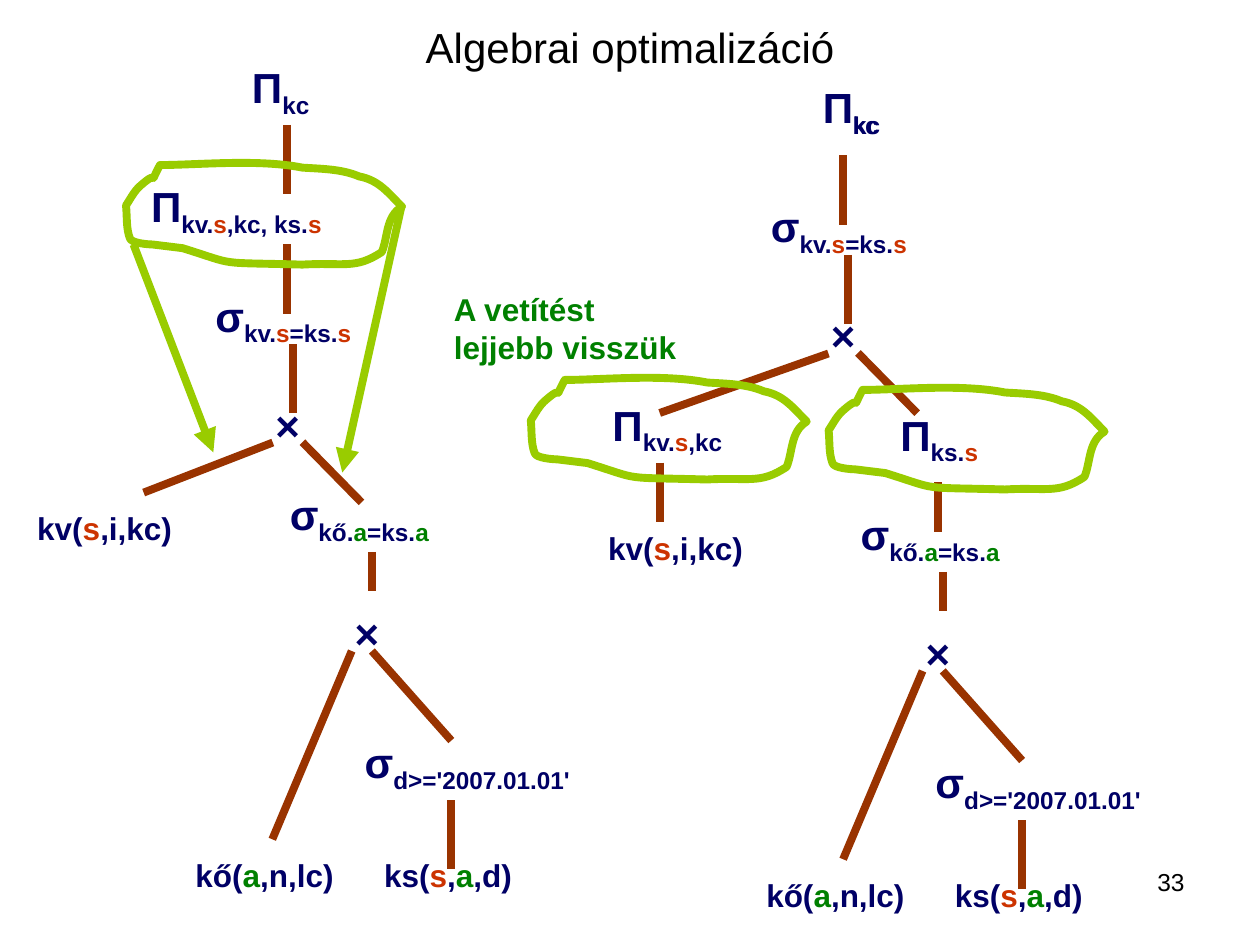
from lxml.etree import SubElement
from pptx import Presentation
from pptx.dml.color import RGBColor
from pptx.enum.shapes import MSO_CONNECTOR
from pptx.enum.text import MSO_ANCHOR, MSO_AUTO_SIZE, PP_ALIGN
from pptx.oxml.ns import qn
from pptx.util import Pt

COLORS = {
    "text": "000000", "navy": "000066", "red": "CC3300",
    "green": "008000", "brown": "993300", "lime": "99CC00",
}
ATTRIBUTE_COLORS = {"s": "red", "a": "green"}

JOIN_OFFSETS = [(0, 0), (317.5, -51)]
JOIN_LINES = [
    (164.2, 139.7, 164.2, 179.3),
    (167.2, 196.6, 167.2, 236.2),
    (172.8, 252.7, 206.6, 287.1),
]
JOIN_TERMS = [
    ("σ", "kv.|s|=ks.|s", 116, 162.3, 221),
    ("×", "", 150.2, 224.6, 68.4),
]

SELECTION_OFFSETS = [(0, 0), (326.2, 11.4)]
SELECTION_LINES = [
    (201, 372, 155.6, 479.6),
    (212.5, 315.4, 212.5, 337.7),
    (212.5, 372, 257.9, 423.2),
    (257.9, 457.2, 257.9, 496.8),
]
SELECTION_TERMS = [
    ("σ", "kő.|a|=ks.|a", 158.5, 275.8, 221),
    ("×", "", 195.6, 343.4, 73.4),
    ("σ", "d>='2007.01.01'", 201.3, 417.6, 158.4),
]
RELATIONS = [
    ("kv(|s|,i,kc)", 14.2, 287.3, 108),
    ("kő(|a|,n,lc)", 104.6, 485.6, 96.5),
    ("ks(|s|,|a|,d)", 212.4, 485.6, 96.5),
]

PROJECTION_TERMS = [
    ("Π", "kv.|s|,kc, ks.|s", 79.2, 99.8, 181.4),
    ("Π", "kv.|s|,kc", 342.9, 224.6, 130.3),
    ("Π", "ks.|s", 507.4, 230.4, 181.4),
]
PROJECTION_LINES = [
    (164.2, 71.3, 164.2, 110.9),
    (155.9, 252.9, 82.1, 281.5),
    (473.4, 202, 377, 236),
    (377, 264.4, 377, 298.1),
    (535.8, 275.6, 535.8, 303.8),
]
ARROWS = [(76.3, 139.7, 121.9, 258.5), (229.7, 116.6, 195.6, 270)]

LOOP_OFFSETS = [(0, 0), (401.5, 128.5), (231.3, 122.8)]
LOOP_START = (229.7, 118.1)
LOOP_CURVES = [
    [(221.8, 110.2), (216.7, 103), (205.2, 100.8)],
    [(195.1, 96.5), (183.6, 96.5), (172.8, 95.8)],
    [(147.6, 90.7), (112.3, 94.3), (91.4, 94.3)],
    [(83.5, 109.4), (92.9, 95), (80.6, 105.8)],
    [(77, 108.7), (74.9, 113), (72, 117.4)],
    [(72.7, 123.8), (72, 130.3), (74.2, 136.1)],
    [(74.9, 139), (85, 139.7), (87.1, 139.7)],
    [(92.9, 140.4), (104.4, 141.8), (104.4, 141.8)],
    [(136.8, 151.9), (121.7, 149.8), (172.8, 151.2)],
    [(196.6, 149.8), (203, 154.1), (218.2, 144)],
    [(221.8, 135.4), (220.3, 123.8), (229.7, 118.1)],
]


class SlideBuilder:
    font_name = "Arial"
    line_width = 4.5

    def __init__(self, slide):
        self.slide = slide

    def set_values(self, target, values):
        for name, value in values.items():
            setattr(target, name, value)

    def run(self, paragraph, text, color, size, bold=True, baseline=0):
        run = paragraph.add_run()
        run.text = text
        self.set_values(run.font, {"name": self.font_name, "size": Pt(size), "bold": bold})
        run.font.color.rgb = RGBColor.from_string(COLORS[color])
        if baseline:
            run._r.get_or_add_rPr().set("baseline", str(baseline * 1000))

    def title(self, text, left, top, width, height):
        shape = self.slide.shapes.title
        self.set_values(shape, {"left": Pt(left), "top": Pt(top),
                                "width": Pt(width), "height": Pt(height)})
        self.set_values(shape.text_frame, {"vertical_anchor": MSO_ANCHOR.MIDDLE,
                                           "auto_size": MSO_AUTO_SIZE.NONE})
        paragraph = shape.text_frame.paragraphs[0]
        paragraph.alignment = PP_ALIGN.CENTER
        self.run(paragraph, text, "text", 24, bold=False)

    def text_box(self, left, top, width, height, wrap=True, align=PP_ALIGN.LEFT):
        shape = self.slide.shapes.add_textbox(Pt(left), Pt(top), Pt(width), Pt(height))
        self.set_values(shape.text_frame, {"word_wrap": wrap,
                                           "vertical_anchor": MSO_ANCHOR.TOP})
        paragraph = shape.text_frame.paragraphs[0]
        paragraph.alignment = align
        return paragraph

    def label(self, text, left, top, width, height, color, size, bold=True, align=PP_ALIGN.LEFT):
        paragraph = self.text_box(left, top, width, height, align=align)
        self.run(paragraph, text, color, size, bold)

    def attributes(self, paragraph, text, size, bold=True, baseline=0):
        for part in text.split("|"):
            color = ATTRIBUTE_COLORS.get(part, "navy")
            self.run(paragraph, part, color, size, bold, baseline)

    def term(self, operator, subscript, left, top, width, bold=True, wrap=True):
        height = 40.3 if subscript else 36
        paragraph = self.text_box(left, top, width, height, wrap)
        self.run(paragraph, operator, "navy", 24, bold)
        if subscript:
            self.attributes(paragraph, subscript, 24, bold, -25)

    def relation(self, text, left, top, width):
        self.attributes(self.text_box(left, top, width, 28.8), text, 18)

    def line(self, x1, y1, x2, y2, color="brown", arrow=False):
        connector = self.slide.shapes.add_connector(
            MSO_CONNECTOR.STRAIGHT, Pt(x1), Pt(y1), Pt(x2), Pt(y2))
        connector.line.width = Pt(self.line_width)
        connector.line.color.rgb = RGBColor.from_string(COLORS[color])
        if arrow:
            SubElement(connector.line._get_or_add_ln(), qn("a:tailEnd"), type="triangle")
        SubElement(connector._element.spPr, qn("a:effectLst"))

    def loop(self, start, curves, dx, dy, color="lime"):
        points = [(Pt(x + dx), Pt(y + dy)) for curve in curves for x, y in curve]
        builder = self.slide.shapes.build_freeform(Pt(start[0] + dx), Pt(start[1] + dy))
        builder.add_line_segments(points, close=True)
        shape = builder.convert_to_shape()
        self.bend_segments(shape)
        shape.shadow.inherit = False
        shape.fill.background()
        shape.line.width = Pt(self.line_width)
        shape.line.color.rgb = RGBColor.from_string(COLORS[color])
        SubElement(shape.line._get_or_add_ln(), qn("a:round"))

    def bend_segments(self, shape):
        segments = list(shape._element.iter(qn("a:lnTo")))
        for curve, *others in zip(segments[::3], segments[1::3], segments[2::3]):
            curve.tag = qn("a:cubicBezTo")
            for segment in others:
                curve.append(segment[0])
                segment.getparent().remove(segment)

    def subtree(self, terms, lines, dx, dy):
        for operator, subscript, left, top, width in terms:
            self.term(operator, subscript, left + dx, top + dy, width)
        for x1, y1, x2, y2 in lines:
            self.line(x1 + dx, y1 + dy, x2 + dx, y2 + dy)


def main():
    presentation = Presentation()
    presentation.slide_width, presentation.slide_height = Pt(720), Pt(540)
    slide = presentation.slides.add_slide(presentation.slide_layouts[5])
    builder = SlideBuilder(slide)

    builder.title("Algebrai optimalizáció", 36, 21.6, 648, 10.1)
    builder.term("Π", "kc", 463, 43.2, 46.8, bold=False, wrap=False)
    builder.label("A vetítést lejjebb visszük", 252.3, 162.3, 147.6, 50.4, "green", 18)

    for dx, dy in JOIN_OFFSETS:
        builder.subtree(JOIN_TERMS, JOIN_LINES, dx, dy)
    for dx, dy in SELECTION_OFFSETS:
        builder.term("Π", "kc", 136.9 + dx, 31.9 + dy, 48.2, wrap=False)
        builder.subtree(SELECTION_TERMS, SELECTION_LINES, dx, dy)
        for text, left, top, width in RELATIONS:
            builder.relation(text, left + dx, top + dy, width)
    builder.subtree(PROJECTION_TERMS, PROJECTION_LINES, 0, 0)

    for dx, dy in LOOP_OFFSETS:
        builder.loop(LOOP_START, LOOP_CURVES, dx, dy)
    for arrow in ARROWS:
        builder.line(*arrow, color="lime", arrow=True)

    builder.label("33", 516.2, 491.8, 167.8, 37.4, "text", 14, False, PP_ALIGN.RIGHT)
    presentation.save("out.pptx")


if __name__ == "__main__":
    main()
